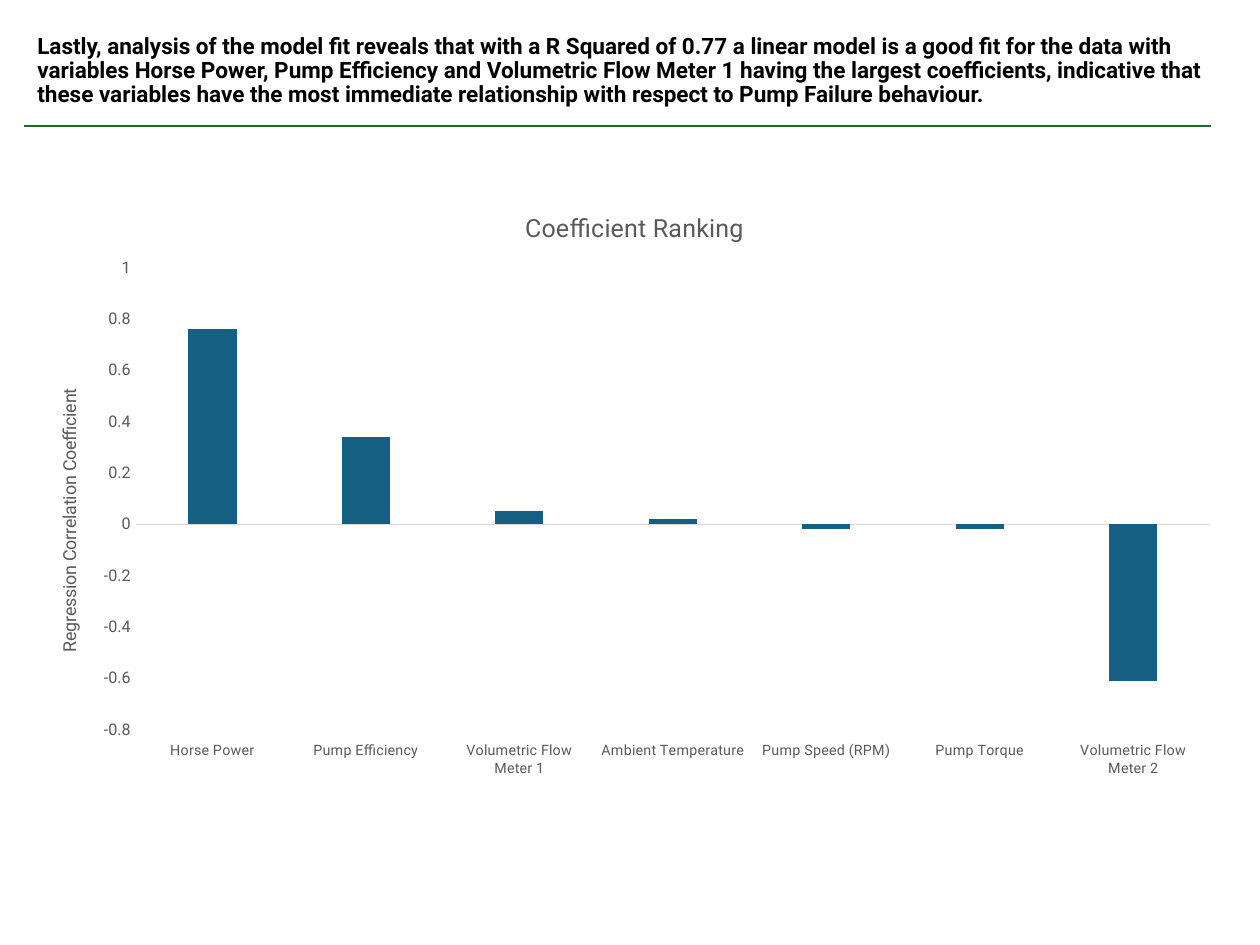
from dataclasses import dataclass

from lxml.etree import SubElement
from pptx import Presentation
from pptx.chart.chart import Chart
from pptx.chart.data import CategoryChartData
from pptx.dml.color import RGBColor
from pptx.enum.chart import XL_CHART_TYPE as ChartType
from pptx.enum.chart import XL_TICK_LABEL_POSITION as LabelPosition
from pptx.enum.chart import XL_TICK_MARK as TickMark
from pptx.enum.shapes import MSO_CONNECTOR as Connector
from pptx.enum.text import MSO_ANCHOR as Anchor
from pptx.enum.text import MSO_AUTO_SIZE as AutoSize
from pptx.enum.text import PP_ALIGN as Align
from pptx.oxml import parse_xml
from pptx.oxml.ns import nsdecls, qn
from pptx.slide import Slide
from pptx.util import Inches, Pt

BLACK = RGBColor(0x00, 0x00, 0x00)
GREY = RGBColor(0x59, 0x59, 0x59)
LIGHT_GREY = RGBColor(0xD9, 0xD9, 0xD9)
GREEN = RGBColor(0x19, 0x6B, 0x24)
BLUE = RGBColor(0x15, 0x60, 0x82)
FONT = "Roboto"

HEADLINE = (
    "Lastly, analysis of the model fit reveals that with a R Squared of 0.77 a linear model "
    "is a good fit for the data with variables Horse Power, Pump Efficiency and Volumetric "
    "Flow Meter 1 having the largest coefficients, indicative that these variables have the "
    "most immediate relationship with respect to Pump Failure behaviour."
)


@dataclass(frozen=True)
class Coefficient:
    variable: str
    value: float


COEFFICIENTS = [
    Coefficient("Horse Power", 0.76),
    Coefficient("Pump Efficiency", 0.34),
    Coefficient("Volumetric Flow Meter 1", 0.05),
    Coefficient("Ambient Temperature", 0.02),
    Coefficient("Pump Speed (RPM)", -0.02),
    Coefficient("Pump Torque", -0.02),
    Coefficient("Volumetric Flow Meter 2", -0.61),
]


def set_attributes(target, values: dict) -> None:
    for name, value in values.items():
        setattr(target, name, value)


def format_font(font, size: float, color: RGBColor, bold: bool = False) -> None:
    set_attributes(font, {"name": FONT, "size": Pt(size), "bold": bold})
    font.color.rgb = color


def place(element, **fractions: float) -> None:
    """Give a chart part a manual layout in fractions of the chart area."""
    for old_layout in element.findall(qn("c:layout")):
        element.remove(old_layout)
    layout = parse_xml(f"<c:layout {nsdecls('c')}/>")
    manual = SubElement(layout, qn("c:manualLayout"))
    if "w" in fractions:
        SubElement(manual, qn("c:layoutTarget"), val="inner")
    for axis in "xy":
        SubElement(manual, qn(f"c:{axis}Mode"), val="edge")
    for name, fraction in fractions.items():
        SubElement(manual, qn(f"c:{name}"), val=str(fraction))
    text = element.find(qn("c:tx"))
    element.insert(0 if text is None else element.index(text) + 1, layout)


def add_title(owner, text: str, size: float, x: float, y: float) -> None:
    """Title a chart or an axis, with its top left corner at x, y."""
    title = owner.chart_title if isinstance(owner, Chart) else owner.axis_title
    title.text_frame.text = text
    format_font(title.text_frame.paragraphs[0].runs[0].font, size, GREY)
    place(title._element, x=x, y=y)


def add_headline(slide: Slide) -> None:
    title = slide.shapes.title
    set_attributes(title, {"left": Inches(0.19), "top": Inches(0.2),
                           "width": Inches(9.56), "height": Inches(0.71)})
    frame = title.text_frame
    frame.text = HEADLINE
    set_attributes(frame, {"word_wrap": True, "auto_size": AutoSize.NONE,
                           "vertical_anchor": Anchor.MIDDLE})
    paragraph = frame.paragraphs[0]
    set_attributes(paragraph, {"alignment": Align.LEFT, "line_spacing": 0.9})
    format_font(paragraph.runs[0].font, 12.6, BLACK, bold=True)


def add_rule(slide: Slide) -> None:
    rule = slide.shapes.add_connector(
        Connector.STRAIGHT, Inches(0.19), Inches(0.98), Inches(9.42), Inches(0.98))
    rule.line.color.rgb = GREEN
    rule.line.width = Pt(1)
    SubElement(rule._element.spPr, qn("a:effectLst"))


def add_coefficient_chart(slide: Slide) -> None:
    data = CategoryChartData()
    data.categories = [coefficient.variable for coefficient in COEFFICIENTS]
    data.add_series("Series 1", [coefficient.value for coefficient in COEFFICIENTS])
    chart = slide.shapes.add_chart(
        ChartType.COLUMN_CLUSTERED, Inches(0.19), Inches(1.41),
        Inches(9.41), Inches(4.74), data).chart
    chart.has_legend = False
    format_font(chart.font, 10, BLACK)

    plot = chart.plots[0]
    set_attributes(plot, {"gap_width": 219, "overlap": -27, "vary_by_categories": False})
    series = plot.series[0]
    series.invert_if_negative = False
    series.format.fill.solid()
    series.format.fill.fore_color.rgb = BLUE

    category_axis, value_axis = chart.category_axis, chart.value_axis
    for axis, size in ((category_axis, 8), (value_axis, 9)):
        set_attributes(axis, {"major_tick_mark": TickMark.NONE,
                              "minor_tick_mark": TickMark.NONE,
                              "has_major_gridlines": False})
        format_font(axis.tick_labels.font, size, GREY)
    category_axis.tick_label_position = LabelPosition.LOW
    category_axis.format.line.color.rgb = LIGHT_GREY
    category_axis.format.line.width = Pt(0.75)
    set_attributes(value_axis, {"minimum_scale": -0.8, "maximum_scale": 1, "major_unit": 0.2})
    value_axis.format.line.fill.background()

    add_title(chart, "Coefficient Ranking", 14, x=0.41, y=0.04)
    add_title(value_axis, "Regression Correlation Coefficient", 10, x=0.025, y=0.335)
    place(chart._chartSpace.chart.plotArea, x=0.092, y=0.142, w=0.888, h=0.758)


def main() -> None:
    presentation = Presentation()
    set_attributes(presentation, {"slide_width": Inches(9.8), "slide_height": Inches(7.35)})
    slide = presentation.slides.add_slide(presentation.slide_layouts.get_by_name("Title Only"))
    add_headline(slide)
    add_rule(slide)
    add_coefficient_chart(slide)
    presentation.save("out.pptx")


if __name__ == "__main__":
    main()
